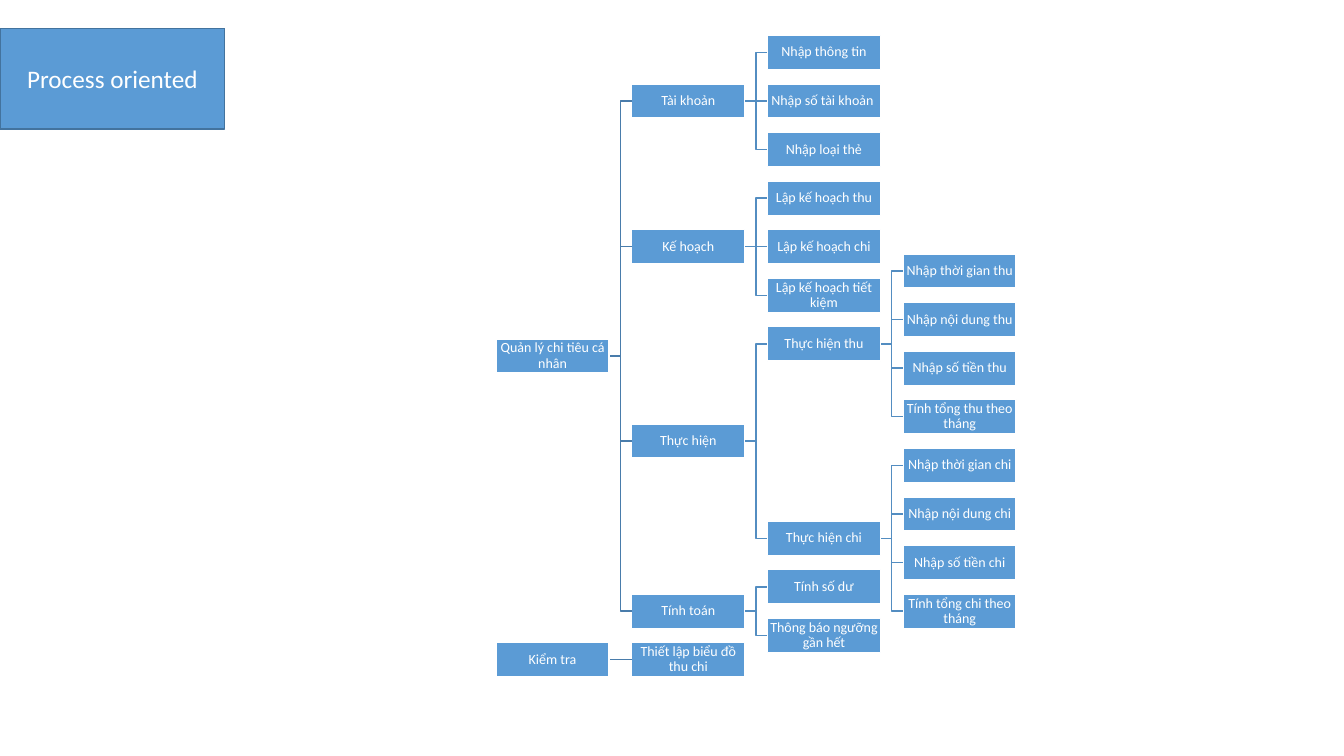
from pptx import Presentation
from pptx.dml.color import RGBColor
from pptx.enum.shapes import MSO_CONNECTOR, MSO_SHAPE
from pptx.enum.text import MSO_ANCHOR, MSO_AUTO_SIZE, PP_ALIGN
from pptx.oxml.ns import qn
from pptx.util import Inches, Pt
from lxml import etree

RECT = MSO_SHAPE.RECTANGLE
LINE = MSO_CONNECTOR.STRAIGHT
MIDDLE = MSO_ANCHOR.MIDDLE
CENTER = PP_ALIGN.CENTER
FIXED = MSO_AUTO_SIZE.NONE

COLORS = {"box": "5B9BD5", "white": "FFFFFF", "edge": "43739E",
          "trunk": "497CAB", "twig": "538DC1"}

LEFT, TOP = 4.92, 0.52          # left of first column, centre of first row
COL, ROW = 1.346, 0.482         # steps between columns and rows
WIDTH, HEIGHT = 1.12, 0.34

# A branch is (name, row of its first leaf, kids); a leaf is a string.
TREES = [
    ("Quản lý chi tiêu cá nhân", None, [
        ("Tài khoản", 0,
         ["Nhập thông tin", "Nhập số tài khoản ", "Nhập loại thẻ"]),
        ("Kế hoạch", 3,
         ["Lập kế hoạch thu", "Lập kế hoạch chi", "Lập kế hoạch tiết kiệm"]),
        ("Thực hiện", None, [
            ("Thực hiện thu", 4.5,
             ["Nhập thời gian thu", "Nhập nội dung thu",
              "Nhập số tiền thu", "Tính tổng thu theo tháng"]),
            ("Thực hiện chi", 8.5,
             ["Nhập thời gian chi", "Nhập nội dung chi",
              "Nhập số tiền chi", "Tính tổng chi theo tháng"]),
        ]),
        ("Tính toán", 11, ["Tính số dư", "Thông báo ngưỡng gần hết"]),
    ]),
    ("Kiểm tra", 12.5, ["Thiết lập biểu đồ thu chi"]),
]


def color(key):
    return RGBColor.from_string(COLORS[key])


def write(shape, text, size=10, inset=0.01, space=0.9):
    frame = shape.text_frame
    frame.word_wrap = True
    frame.auto_size = FIXED
    frame.vertical_anchor = MIDDLE
    frame.margin_left = frame.margin_right = Inches(inset)
    frame.margin_top = frame.margin_bottom = Inches(min(inset, 0.05))
    para = frame.paragraphs[0]
    para.alignment = CENTER
    para.line_spacing = space
    run = para.add_run()
    run.text = text
    run.font.name = "Calibri"
    run.font.size = Pt(size)
    run.font.color.rgb = color("white")


class Chart:
    def __init__(self, slide):
        self.slide = slide
        self.shapes = slide.shapes

    def paint(self, shape, line):
        shape.fill.solid()
        shape.fill.fore_color.rgb = color("box")
        shape.line.color.rgb = color(line)
        shape.line.width = Pt(1)

    def title(self, text, x, y, w, h):
        head = self.shapes.title
        head.left, head.top = Inches(x), Inches(y)
        head.width, head.height = Inches(w), Inches(h)
        self.paint(head, "edge")
        write(head, text, size=18, inset=0.1, space=1.0)

    def box(self, text, depth, row):
        x, y = LEFT + depth * COL, TOP + row * ROW - HEIGHT / 2
        shape = self.shapes.add_shape(
            RECT, Inches(x), Inches(y), Inches(WIDTH), Inches(HEIGHT))
        shape.shadow.inherit = False
        self.paint(shape, "white")
        write(shape, text)

    def link(self, depth, start, stop):
        """Join a branch at row start to its kid at row stop."""
        left = LEFT + depth * COL + WIDTH
        right = LEFT + (depth + 1) * COL
        x1, x2, x3 = (Inches(x) for x in (left, (left + right) / 2, right))
        y1, y2 = Inches(TOP + start * ROW), Inches(TOP + stop * ROW)
        if start == stop:
            line = self.shapes.add_connector(LINE, x1, y1, x3, y2)
            etree.SubElement(line._element.spPr, qn("a:effectLst"))
        else:
            path = self.shapes.build_freeform(x1, y1)
            path.add_line_segments([(x2, y1), (x2, y2), (x3, y2)], close=False)
            line = path.convert_to_shape()
            line.fill.background()
            line.shadow.inherit = False
        line.line.color.rgb = color("twig" if depth else "trunk")
        line.line.width = Pt(1)

    def tree(self, node, depth=0):
        """Draw a branch midway between its end kids and return its row."""
        name, first, kids = node
        rows = []
        for i, kid in enumerate(kids):
            if isinstance(kid, str):
                rows.append(first + i)
                self.box(kid, depth + 1, first + i)
            else:
                rows.append(self.tree(kid, depth + 1))
        row = (rows[0] + rows[-1]) / 2
        for stop in rows:
            self.link(depth, row, stop)
        self.box(name, depth, row)
        return row


def main():
    deck = Presentation()
    deck.slide_width, deck.slide_height = Inches(13.33), Inches(7.5)
    chart = Chart(deck.slides.add_slide(deck.slide_layouts[5]))
    chart.title("Process oriented", 0, 0.28, 2.23, 1)
    for node in TREES:
        chart.tree(node)
    deck.save("out.pptx")


if __name__ == "__main__":
    main()
